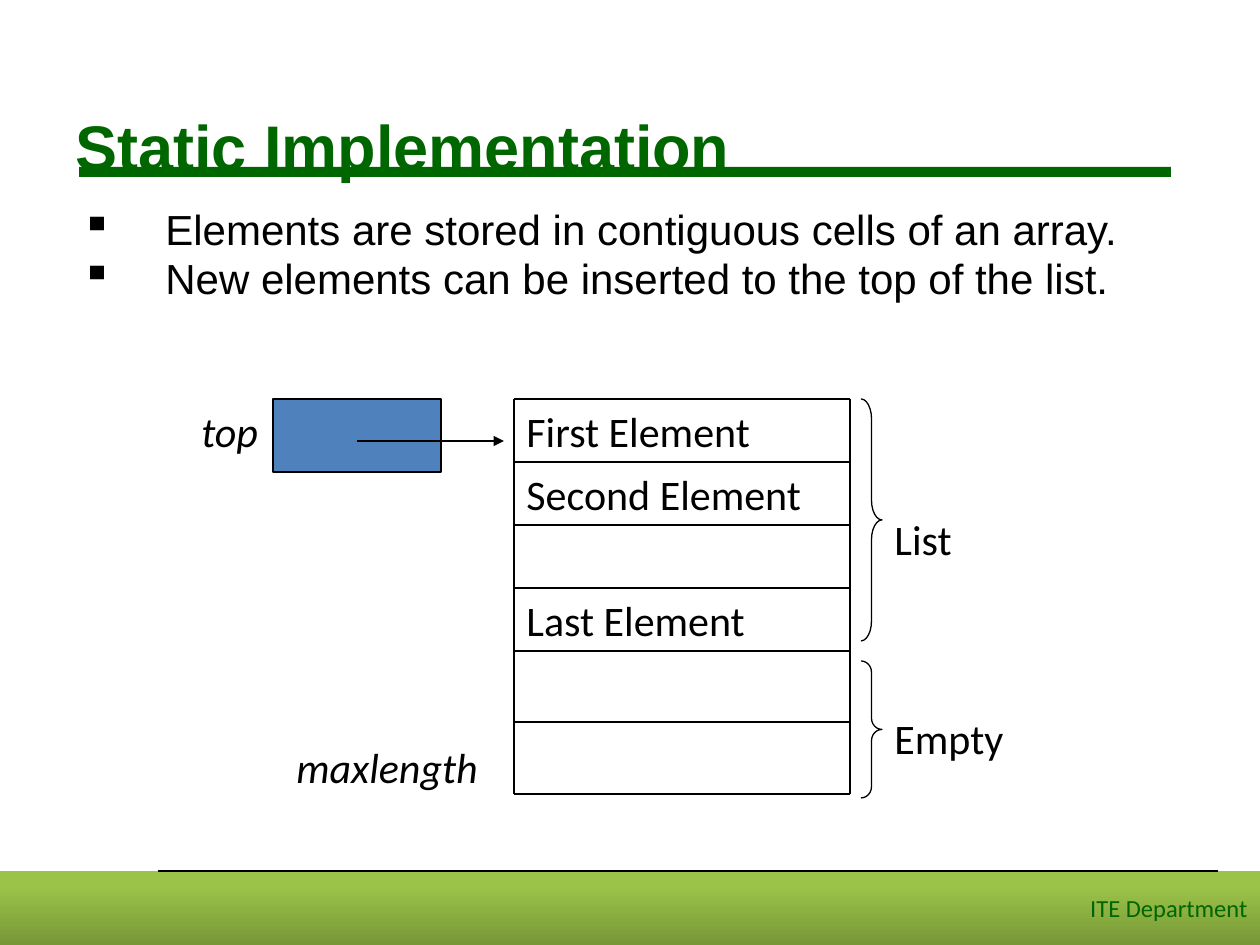
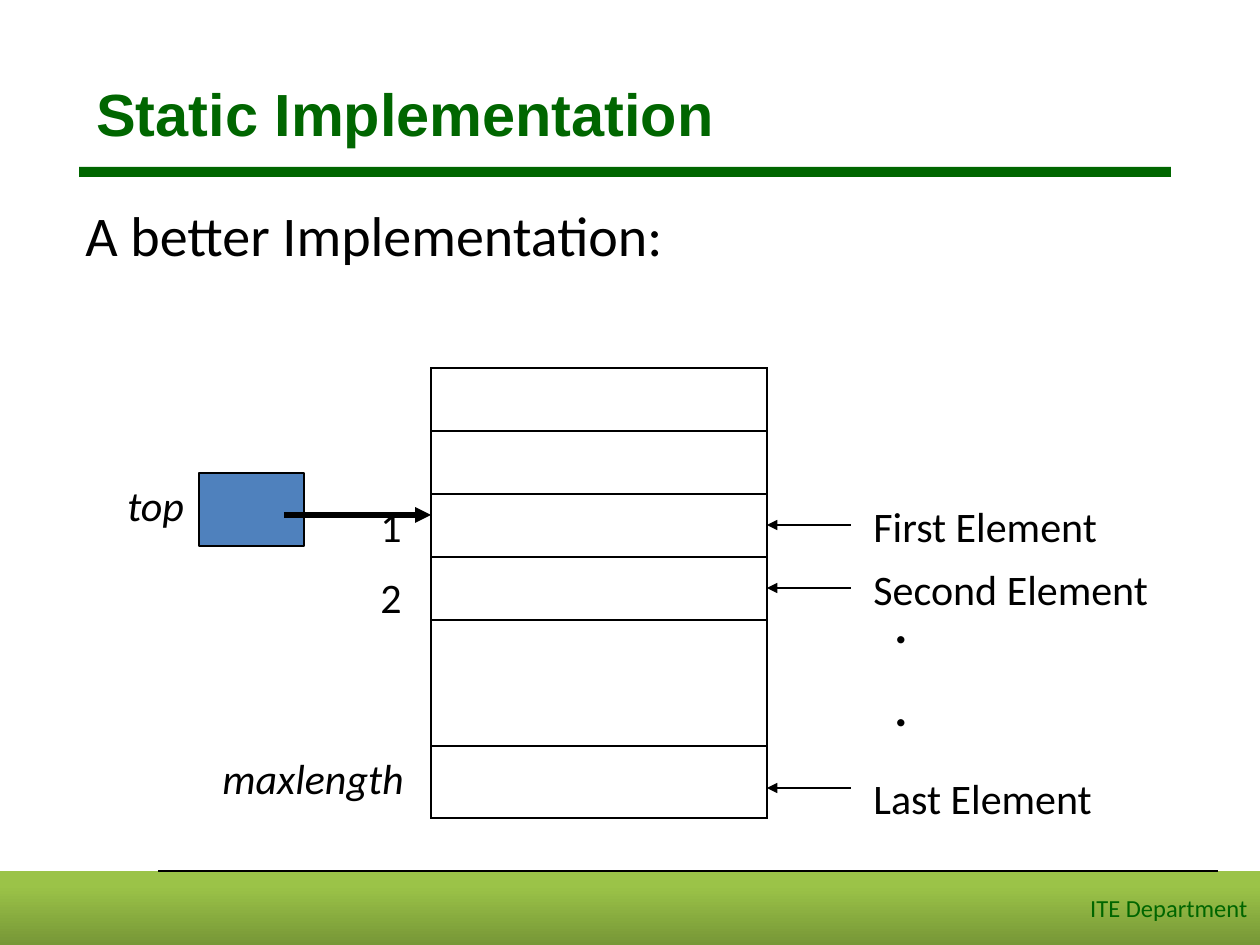
from itertools import accumulate

from lxml import etree
from pptx import Presentation
from pptx.dml.color import RGBColor
from pptx.enum.shapes import MSO_CONNECTOR, MSO_SHAPE
from pptx.enum.text import MSO_ANCHOR, PP_ALIGN
from pptx.oxml import parse_xml
from pptx.oxml.ns import nsdecls, qn
from pptx.util import Emu, Pt

RECTANGLE = MSO_SHAPE.RECTANGLE
RIGHT_BRACE = MSO_SHAPE.RIGHT_BRACE
STRAIGHT = MSO_CONNECTOR.STRAIGHT
MIDDLE = MSO_ANCHOR.MIDDLE
TOP = MSO_ANCHOR.TOP
RIGHT = PP_ALIGN.RIGHT

BLACK = RGBColor(0x00, 0x00, 0x00)
GREEN = RGBColor(0x00, 0x66, 0x00)
BLUE = RGBColor(0x4F, 0x81, 0xBD)
BAND_BOTTOM = RGBColor(0x77, 0x97, 0x37)
BAND_TOP = RGBColor(0x9B, 0xC3, 0x48)

HEADING_FONT = "Arial"
BODY_FONT = "Calibri"
PX_PER_INCH = 126
SLIDE_WIDTH, SLIDE_HEIGHT = 1260, 945
FOOTER_TOP = 871
LABEL_HEIGHT = 63
CELL_WIDTH = 336


def px(*lengths):
    return [Emu(round(length * 914400 / PX_PER_INCH)) for length in lengths]


def style_paragraph(para, size, font=BODY_FONT, color=BLACK, bold=False, italic=False):
    for span in para.runs:
        span.font.size = Pt(size)
        span.font.name = font
        span.font.color.rgb = color
        span.font.bold = bold
        span.font.italic = italic


def add_text(slide, text, left, top, width, height, size=24, anchor=TOP,
             gap=0.5, line_spacing=None, **style):
    """Add a text box; gap is the space between paragraphs as a share of size."""
    box = slide.shapes.add_textbox(*px(left, top, width, height))
    frame = box.text_frame
    frame.word_wrap = True
    frame.vertical_anchor = anchor
    frame.text = text
    for index, para in enumerate(frame.paragraphs):
        style_paragraph(para, size, **style)
        if index:
            para.space_before = Pt(size * gap)
        if line_spacing:
            para.line_spacing = line_spacing
    return box


def add_bullets(box, hanging):
    indent = px(hanging)[0]
    for para in box.text_frame.paragraphs:
        properties = para._p.get_or_add_pPr()
        properties.set("marL", str(indent))
        properties.set("indent", str(-indent))
        color = etree.SubElement(properties, qn("a:buClr"))
        etree.SubElement(color, qn("a:srgbClr"), val=str(BLACK))
        etree.SubElement(properties, qn("a:buChar"), char="▪")


def add_preset(slide, preset, left, top, width, height, fill=None, line=None):
    shape = slide.shapes.add_shape(preset, *px(left, top, width, height))
    shape.shadow.inherit = False
    if fill is None:
        shape.fill.background()
    else:
        shape.fill.solid()
        shape.fill.fore_color.rgb = fill
    if line is None:
        shape.line.fill.background()
    else:
        shape.line.color.rgb = line
        shape.line.width = Pt(0.75)
    return shape


def add_line(slide, start, end, width=0.75, arrow=False):
    line = slide.shapes.add_connector(STRAIGHT, *px(*start, *end))
    line.line.color.rgb = BLACK
    line.line.width = Pt(width)
    if arrow:
        etree.SubElement(line.line._get_or_add_ln(), qn("a:tailEnd"), type="triangle")
    etree.SubElement(line._element.spPr, qn("a:effectLst"))


def add_frame(slide):
    """Add the footer band, its line and the bar under the title."""
    band = add_preset(slide, RECTANGLE, 0, FOOTER_TOP, SLIDE_WIDTH,
                      SLIDE_HEIGHT - FOOTER_TOP)
    band.fill.gradient()
    band.fill.gradient_angle = 90
    stops = ((0, BAND_BOTTOM), (0.8, BAND_TOP))
    for stop, (position, color) in zip(band.fill.gradient_stops, stops):
        stop.position = position
        stop.color.rgb = color
    band.text_frame.text = "ITE Department"
    band.text_frame.vertical_anchor = MIDDLE
    para = band.text_frame.paragraphs[0]
    para.alignment = RIGHT
    style_paragraph(para, 14, color=GREEN)
    add_line(slide, (158, FOOTER_TOP), (1218, FOOTER_TOP))
    add_preset(slide, RECTANGLE, 79, 167, 1092, 10, fill=GREEN)


def add_title(slide, left, top, height, size):
    add_text(slide, "Static Implementation", left, top, 1134, height, size,
             anchor=MIDDLE, font=HEADING_FONT, color=GREEN, bold=True)


def add_pointer(slide, left, top, width, arrow_start, arrow_end, arrow_width):
    """Add the labelled "top" cell and the arrow that leaves it."""
    add_preset(slide, RECTANGLE, left, top, width, 73, fill=BLUE, line=BLACK)
    add_line(slide, (arrow_start, top + 42), (arrow_end, top + 42), arrow_width, True)
    add_text(slide, "top", left - 84, top, 84, LABEL_HEIGHT, italic=True)


def add_ruled_array(slide, left, top, heights, labels):
    edges = list(accumulate(heights, initial=top))
    right, bottom = left + CELL_WIDTH, edges[-1]
    for edge in edges:
        add_line(slide, (left, edge), (right, edge), 1)
    for side in (left, right):
        add_line(slide, (side, top), (side, bottom), 1)
    for edge, label in zip(edges, labels):
        if label:
            add_text(slide, label, left, edge, CELL_WIDTH, LABEL_HEIGHT)


def add_brace(slide, top, height, label, label_top):
    brace = add_preset(slide, RIGHT_BRACE, 861, top, 21, height, line=BLACK)
    brace.adjustments[0] = 0.95 if height > 200 else 0.54
    add_text(slide, label, 882, label_top, 147, LABEL_HEIGHT)


def add_array_table(slide, left, top, heights):
    frame = slide.shapes.add_table(len(heights), 1,
                                   *px(left, top, CELL_WIDTH, sum(heights)))
    table = frame.table
    table.first_row = False
    table.horz_banding = False
    for row, height in zip(table.rows, px(*heights)):
        row.height = height
        cell = row.cells[0]
        cell.fill.background()
        properties = cell._tc.get_or_add_tcPr()
        for index, side in enumerate("LRTB"):
            properties.insert(index, parse_xml(
                f'<a:ln{side} {nsdecls("a")} w="{Pt(1)}"><a:solidFill>'
                f'<a:srgbClr val="{BLACK}"/></a:solidFill></a:ln{side}>'))


def build_contiguous_slide(slide):
    add_title(slide, 63, 95, 101, 36)
    points = add_text(
        slide,
        "Elements are stored in contiguous cells of an array.\n"
        "New elements can be inserted to the top of the list.",
        69, 207, 1134, 624, gap=0.2, line_spacing=0.8, font=HEADING_FONT)
    add_bullets(points, 84)
    add_ruled_array(slide, 514, 399, (63, 63, 63, 63, 71, 72),
                    ("First Element", "Second Element", "", "Last Element"))
    add_brace(slide, 399, 242, "List", 507)
    add_brace(slide, 661, 137, "Empty", 706)
    add_text(slide, "maxlength", 284, 735, 242, LABEL_HEIGHT, italic=True)
    add_pointer(slide, 273, 399, 168, 357, 504, 0.75)


def build_better_slide(slide):
    add_title(slide, 84, 53, 120, 34)
    add_text(slide, "A better Implementation:", 73, 207, 634, 67, 32,
             line_spacing=0.8)
    add_array_table(slide, 431, 368, (63, 63, 63, 63, 126, 72))
    add_text(slide, "maxlength", 210, 746, 242, LABEL_HEIGHT, italic=True)
    add_pointer(slide, 199, 473, 105, 284, 431, 3)
    elements = (("First Element", 494, 525), ("Second Element", 557, 588),
                ("Last Element", 766, 788))
    for label, label_top, arrow_y in elements:
        add_text(slide, label, 861, label_top, 346, LABEL_HEIGHT)
        add_line(slide, (851, arrow_y), (767, arrow_y), arrow=True)
    add_text(slide, "1\n2", 368, 494, 63, 140)
    add_text(slide, ".\n.", 882, 588, 73, 160, 28, bold=True)


def main():
    deck = Presentation()
    deck.slide_width, deck.slide_height = px(SLIDE_WIDTH, SLIDE_HEIGHT)
    for build in (build_contiguous_slide, build_better_slide):
        slide = deck.slides.add_slide(deck.slide_layouts[6])
        add_frame(slide)
        build(slide)
    deck.save("out.pptx")


if __name__ == "__main__":
    main()
